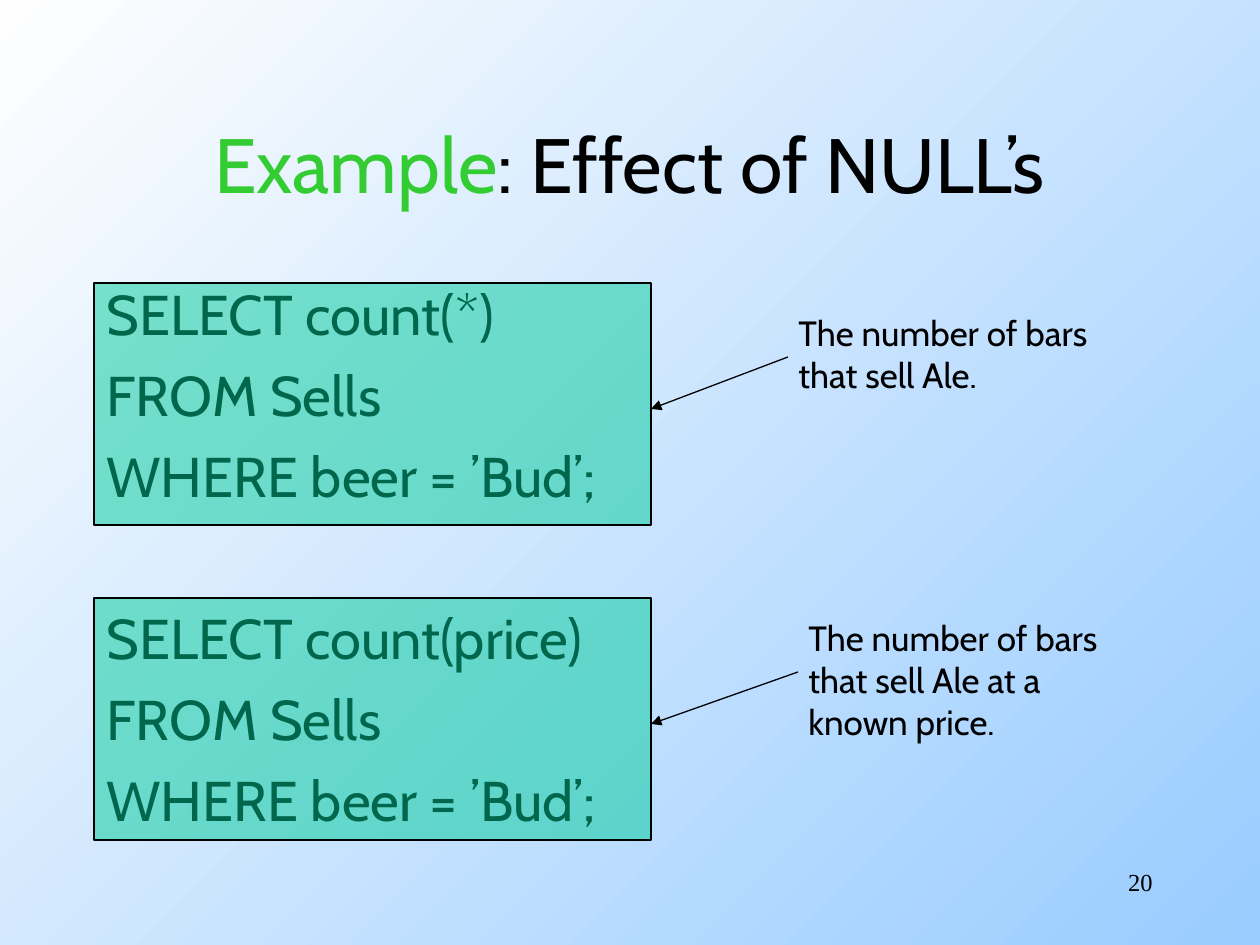
from lxml import etree
from pptx import Presentation
from pptx.dml.color import RGBColor
from pptx.enum.shapes import MSO_CONNECTOR, MSO_SHAPE
from pptx.enum.text import MSO_ANCHOR, PP_ALIGN
from pptx.oxml.ns import qn
from pptx.util import Emu, Pt

RECTANGLE, STRAIGHT = MSO_SHAPE.RECTANGLE, MSO_CONNECTOR.STRAIGHT
LEFT, CENTER, RIGHT = PP_ALIGN.LEFT, PP_ALIGN.CENTER, PP_ALIGN.RIGHT
MIDDLE = MSO_ANCHOR.MIDDLE
EMU_PER_PX = 914400 / 126


def px(length):
    return Emu(round(length * EMU_PER_PX))


def color(value):
    return RGBColor.from_string(value)


class SlideBuilder:
    black, green, teal = "000000", "33CC33", "00CC99"
    background = ("99CCFF", "FEFEFE")
    body_font, number_font = "Cabin", "Times New Roman"

    def __init__(self, presentation):
        self.slide = presentation.slides.add_slide(presentation.slide_layouts[5])
        fill = self.slide.background.fill
        fill.gradient()
        fill.gradient_angle = 135
        for stop, value in zip(fill.gradient_stops, self.background):
            stop.color.rgb = color(value)

    def format_font(self, font, size, value=black, name=body_font):
        for attribute, setting in {"size": Pt(size), "name": name}.items():
            setattr(font, attribute, setting)
        font.color.rgb = color(value)

    def title(self, box, parts):
        """Fill the title with (text, colour) parts."""
        shape = self.slide.shapes.title
        for attribute, length in zip(("left", "top", "width", "height"), box):
            setattr(shape, attribute, px(length))
        shape.text_frame.vertical_anchor = MIDDLE
        paragraph = shape.text_frame.paragraphs[0]
        paragraph.alignment = CENTER
        for text, value in parts:
            run = paragraph.add_run()
            run.text = text
            self.format_font(run.font, 44, value)

    def text(self, box, lines, size, name=body_font, align=LEFT, gaps=None):
        """Add one paragraph per line; gaps holds the points before each."""
        frame = self.slide.shapes.add_textbox(*map(px, box)).text_frame
        frame.word_wrap = True
        for index, line in enumerate(lines):
            paragraph = frame.paragraphs[0] if index == 0 else frame.add_paragraph()
            paragraph.alignment = align
            if gaps and index:
                paragraph.space_before = Pt(gaps[index])
            run = paragraph.add_run()
            run.text = line
            self.format_font(run.font, size, name=name)

    def highlight(self, box):
        """Lay a half-transparent rectangle over the text."""
        shape = self.slide.shapes.add_shape(RECTANGLE, *map(px, box))
        shape.shadow.inherit = False
        shape.fill.solid()
        shape.fill.fore_color.rgb = color(self.teal)
        fill_color = shape.fill._xPr.find(".//" + qn("a:srgbClr"))
        etree.SubElement(fill_color, qn("a:alpha"), val="50000")
        shape.line.color.rgb = color(self.black)
        shape.line.width = Pt(0.75)

    def arrow(self, start, end):
        connector = self.slide.shapes.add_connector(STRAIGHT, *map(px, start + end))
        connector.line.color.rgb = color(self.black)
        connector.line.width = Pt(0.75)
        properties = connector._element.spPr
        etree.SubElement(properties.find(qn("a:ln")), qn("a:tailEnd"), type="triangle")
        etree.SubElement(properties, qn("a:effectLst"))


def main():
    presentation = Presentation()
    presentation.slide_width, presentation.slide_height = px(1260), px(945)
    builder = SlideBuilder(presentation)
    builder.title((94, 84, 1071, 158),
                  [("Example", builder.green), (": Effect of NULL’s", builder.black)])

    queries = [["SELECT count(" + counted + ")", "FROM Sells", "WHERE beer = ’Bud’;"]
               for counted in ("*", "price")]
    builder.text((94, 273, 1071, 567), queries[0] + queries[1], 32,
                 gaps=[0, 8, 8, 54, 8, 8])

    notes = [
        (283, (786, 305, 352, 97), ["The number of bars", "that sell Ale."]),
        (598, (796, 610, 352, 139),
         ["The number of bars", "that sell Ale at a", "known price."]),
    ]
    for top, note_box, lines in notes:
        builder.highlight((94, top, 557, 242))
        builder.text(note_box, lines, 20)
        builder.arrow((note_box[0] + 2, top + 74), (651, top + 126))

    builder.text((903, 861, 262, 63), ["20"], 14, builder.number_font, RIGHT)
    presentation.save("out.pptx")


if __name__ == "__main__":
    main()
